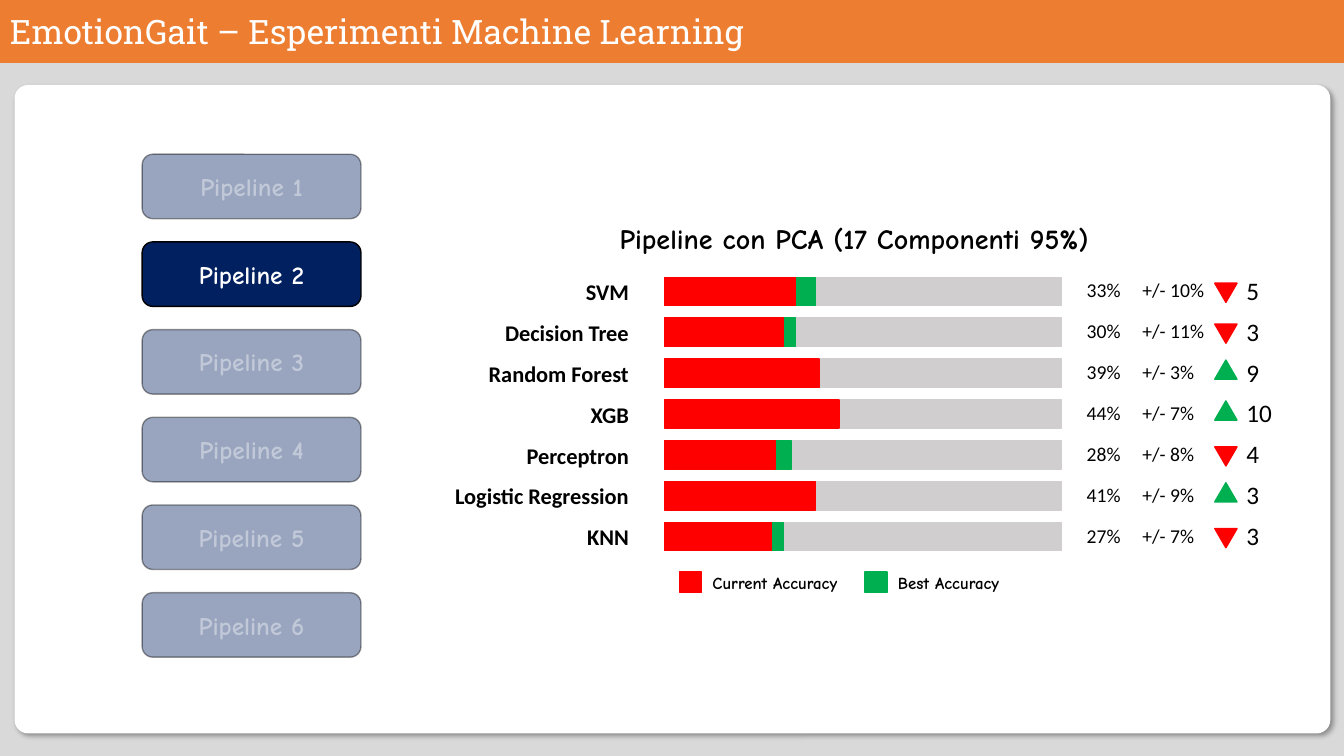
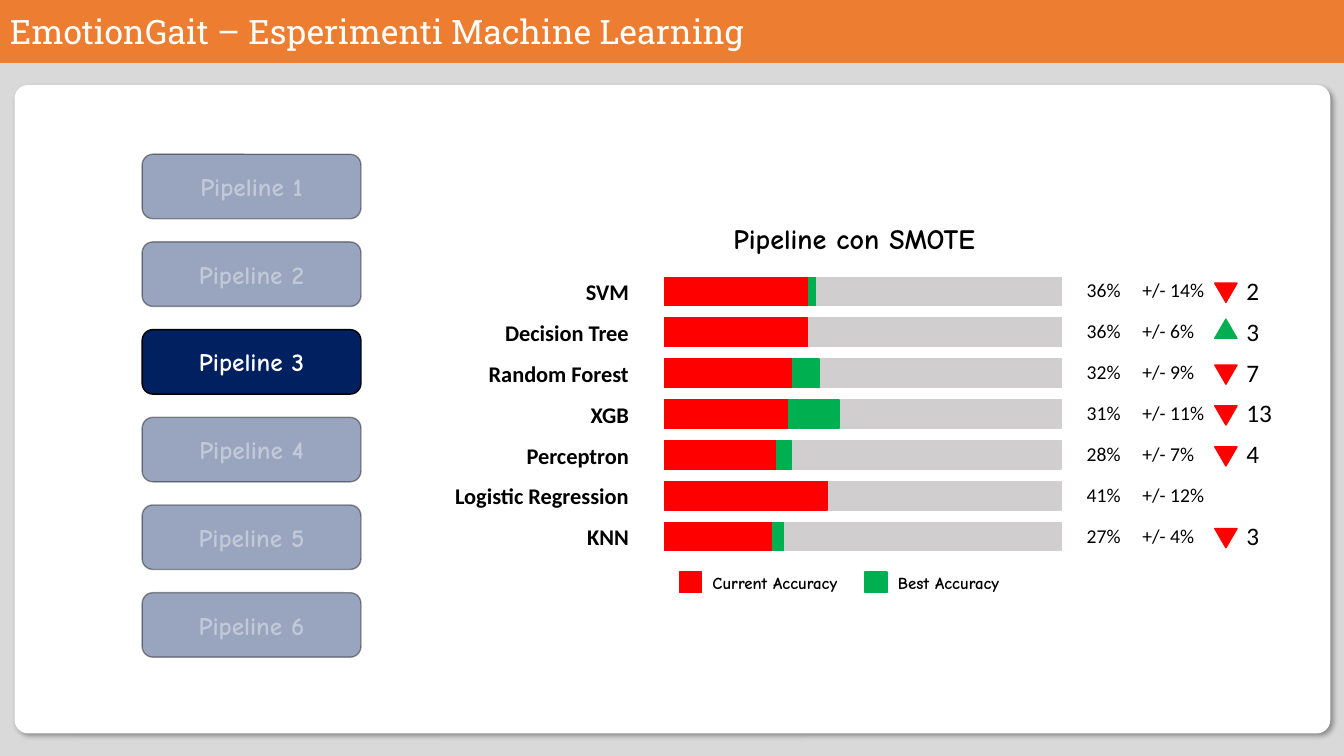
from dataclasses import dataclass
from lxml.etree import SubElement as Sub
from pptx import Presentation
from pptx.dml.color import RGBColor as Rgb
from pptx.enum.shapes import MSO_SHAPE as Kind
from pptx.enum.text import MSO_ANCHOR as Anchor, PP_ALIGN as Align
from pptx.oxml.ns import qn
from pptx.util import Inches, Pt


@dataclass(frozen=True)
class Theme:
    """Colours, fonts and type sizes of the deck."""
    back: str = "D9D9D9"
    band: str = "ED7D31"
    navy: str = "002060"
    white: str = "FFFFFF"
    black: str = "000000"
    track: str = "D0CECE"
    now: str = "FF0000"
    best: str = "00B050"
    slab: str = "Roboto Slab"
    comic: str = "Comic Neue"
    plain: str = "Calibri"
    title: int = 24
    head: int = 20
    body: int = 18
    name: int = 16
    rate: int = 14
    key: int = 12
    dim: int = 40


@dataclass(frozen=True)
class Box:
    """A frame on the slide."""
    x: float
    y: float
    w: float
    h: float

    def cut(self, x, y, w, h):
        """Return a frame given in percent of this one."""
        return Box(self.x + self.w * x / 100, self.y + self.h * y / 100,
                   self.w * w / 100, self.h * h / 100)

    def split(self, count, gap=0):
        """Split into equal rows, the gap being a share of a row."""
        high = self.h / (count + gap * (count - 1))
        return [Box(self.x, self.y + i * high * (1 + gap), self.w, high)
                for i in range(count)]

    def ints(self):
        """Return the frame in whole units."""
        return [round(v) for v in (self.x, self.y, self.w, self.h)]


@dataclass(frozen=True)
class Score:
    """One model's result; bar and best are shares of the track."""
    name: str
    rate: int
    error: int
    bar: int
    best: int
    change: int


T = Theme()
COLS = (24.7, 53.4, 6.8, 15.1)


def write(frame, text, size, font, color, bold=False, align=Align.LEFT):
    """Put one styled run into a text frame."""
    line = frame.paragraphs[0]
    line.alignment = align
    run = line.add_run()
    run.text = text
    face = run.font
    face.size, face.name, face.bold = Pt(size), font, bold
    face.color.rgb = Rgb.from_string(color)


def label(shapes, box, text, size, font, color, **style):
    """Add a text box with one line."""
    frame = shapes.add_textbox(*box.ints()).text_frame
    frame.word_wrap = True
    write(frame, text, size, font, color, **style)


def block(shapes, box, fill, kind=Kind.RECTANGLE, edge=None):
    """Add a filled shape with a thin edge."""
    shape = shapes.add_shape(kind, *box.ints())
    shape.shadow.inherit = False
    shape.fill.solid()
    shape.fill.fore_color.rgb = Rgb.from_string(fill)
    shape.line.color.rgb = Rgb.from_string(edge or fill)
    shape.line.width = Pt(1)
    return shape


def fade(shape):
    """Make fill, edge and text of a shape see-through."""
    for tint in list(shape._element.iter(qn("a:srgbClr"))):
        Sub(tint, qn("a:alpha"), val=str(T.dim * 1000))


def shade(shape):
    """Add a soft shadow to the lower right."""
    glow = Sub(shape._element.spPr.find(qn("a:effectLst")), qn("a:outerShdw"),
               blurRad=str(Pt(4)), dist=str(Pt(3)), dir=str(45 * 60000),
               algn="tl", rotWithShape="0")
    tint = Sub(glow, qn("a:srgbClr"), val=T.black)
    Sub(tint, qn("a:alpha"), val=str(T.dim * 1000))


def header(shapes, box):
    """Draw the title band."""
    block(shapes, box, T.band)
    label(shapes, box.cut(0, 9.7, 70, 80), "EmotionGait – Esperimenti Machine Learning",
          T.title, T.slab, T.white)


def card(shapes, box):
    """Draw the white panel."""
    panel = block(shapes, box, T.white, Kind.ROUNDED_RECTANGLE)
    panel.adjustments[0] = 0.02
    shade(panel)


def menu(shapes, box, live):
    """Draw the pipeline buttons, all but the live one dimmed."""
    for step, cell in enumerate(box.split(6, 0.36), 1):
        button = block(shapes, cell, T.navy, Kind.ROUNDED_RECTANGLE, T.black)
        button.text_frame.vertical_anchor = Anchor.MIDDLE
        write(button.text_frame, f"Pipeline {step}", T.body, T.comic, T.white,
              bold=True, align=Align.CENTER)
        if step != live:
            fade(button)


def grid(shapes, box, scores):
    """Draw the table of names, rates and errors."""
    table = shapes.add_table(len(scores), len(COLS), *box.ints()).table
    table.first_row = table.horz_banding = False
    for col, share in zip(table.columns, COLS):
        col.width = round(box.w * share / 100)
    for row, score in zip(table.rows, scores):
        texts = (score.name, "", f"{score.rate}%", f"+/- {score.error}%")
        for i, (cell, text) in enumerate(zip(row.cells, texts)):
            cell.fill.background()
            first = i == 0
            write(cell.text_frame, text, T.name if first else T.rate, T.plain,
                  T.black, bold=first, align=Align.RIGHT if first else Align.LEFT)


def meter(shapes, row, score):
    """Draw the track of a row with its best and current bars."""
    track = row.cut(27.8, 7.4, 48.46, 69)
    for share, fill in ((100, T.track), (score.best, T.best), (score.bar, T.now)):
        if share:
            block(shapes, track.cut(0, 0, share, 100), fill)


def trend(shapes, row, change):
    """Draw the arrow and number of a change."""
    if not change:
        return
    down = change < 0
    arrow = block(shapes, row.cut(94.96, 22 if down else 10, 2.71, 46.8),
                  T.now if down else T.best, Kind.ISOSCELES_TRIANGLE)
    arrow.rotation = 180 if down else 0
    label(shapes, row.cut(97.6, -10, 7.1, 98.6), str(abs(change)),
          T.body, T.plain, T.black)


def board(shapes, box, scores):
    """Draw the table with its bars and changes."""
    grid(shapes, box, scores)
    for row, score in zip(box.split(len(scores)), scores):
        meter(shapes, row, score)
        trend(shapes, row, score.change)


def legend(shapes, box):
    """Draw the colour key as a group."""
    group = shapes.add_group_shape().shapes
    for i, (text, fill) in enumerate((("Current Accuracy", T.now),
                                      ("Best Accuracy", T.best))):
        item = box.cut(50 * i, 0, 50, 100)
        block(group, item.cut(0, 14, 12, 67), fill)
        label(group, item.cut(12.5, 0, 87, 100), text, T.key, T.comic,
              T.black, bold=True)


def page(deck, live, title, scores):
    """Build one pipeline slide."""
    slide = deck.slides.add_slide(deck.slide_layouts[6])
    slide.background.fill.solid()
    slide.background.fill.fore_color.rgb = Rgb.from_string(T.back)
    shapes = slide.shapes
    full = Box(0, 0, deck.slide_width, deck.slide_height)
    card(shapes, full.cut(1.13, 11.33, 97.8, 85.6))
    header(shapes, full.cut(0, 0, 100, 8.27))
    menu(shapes, full.cut(10.58, 20.4, 16.28, 66.53), live)
    label(shapes, full.cut(38.25, 28.67, 50.63, 5.87), title, T.head, T.comic,
          T.black, bold=True, align=Align.CENTER)
    board(shapes, full.cut(32.48, 36.27, 60.98, 37.87), scores)
    legend(shapes, full.cut(50.55, 75.1, 27.6, 4))


PAGES = (
    (2, "Pipeline con PCA (17 Componenti 95%)", (
        Score("SVM", 33, 10, 33, 38, -5),
        Score("Decision Tree", 30, 11, 30, 33, -3),
        Score("Random Forest", 39, 3, 39, 0, 9),
        Score("XGB", 44, 7, 44, 0, 10),
        Score("Perceptron", 28, 8, 28, 32, -4),
        Score("Logistic Regression", 41, 9, 38, 0, 3),
        Score("KNN", 27, 7, 27, 30, -3))),
    (3, "Pipeline con SMOTE", (
        Score("SVM", 36, 14, 36, 38, -2),
        Score("Decision Tree", 36, 6, 36, 0, 3),
        Score("Random Forest", 32, 9, 32, 39, -7),
        Score("XGB", 31, 11, 31, 44, -13),
        Score("Perceptron", 28, 7, 28, 32, -4),
        Score("Logistic Regression", 41, 12, 41, 0, 0),
        Score("KNN", 27, 4, 27, 30, -3))),
)


def main():
    """Build and save the deck."""
    deck = Presentation()
    deck.slide_width, deck.slide_height = Inches(13.33), Inches(7.5)
    for live, title, scores in PAGES:
        page(deck, live, title, scores)
    deck.save("out.pptx")


if __name__ == "__main__":
    main()
